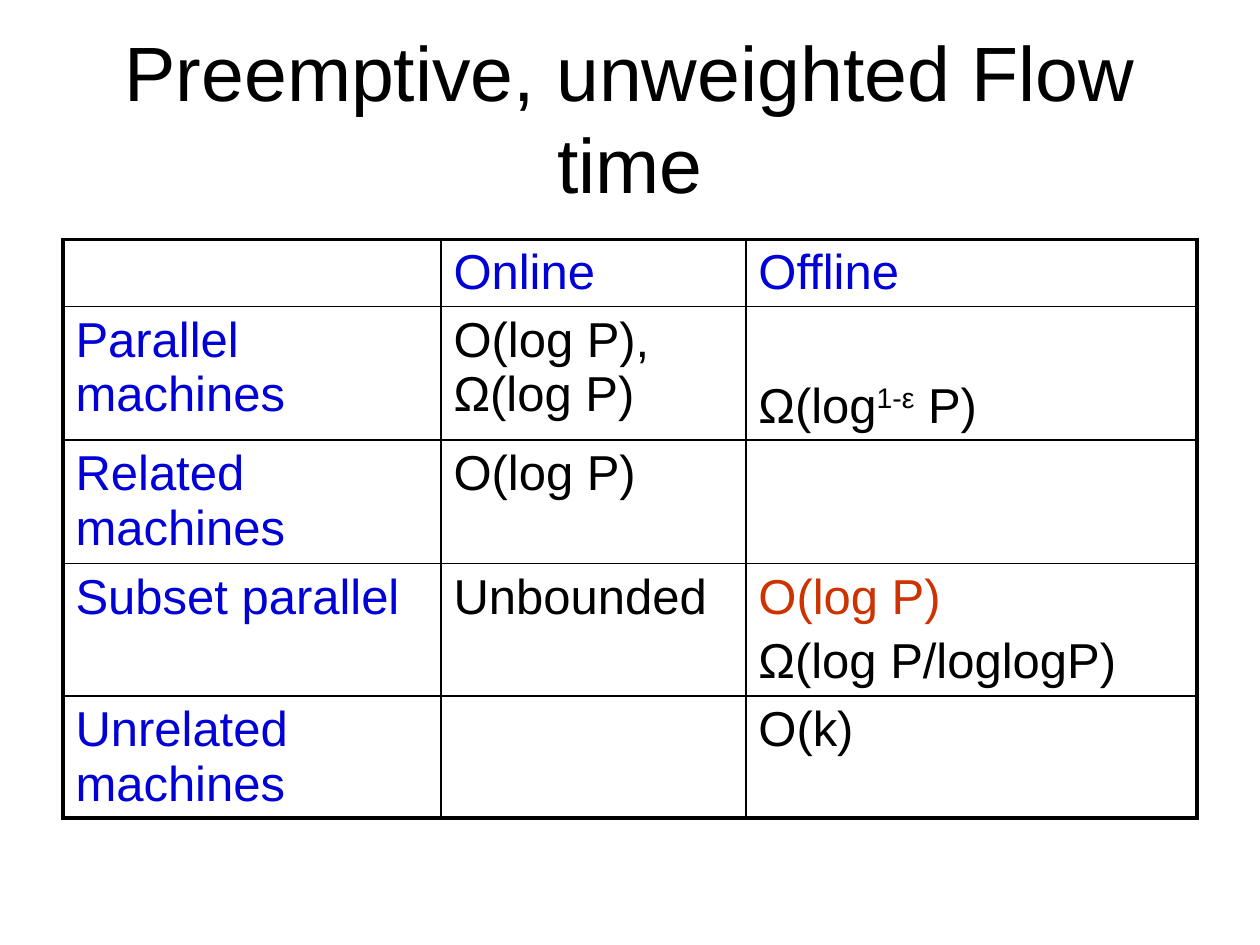
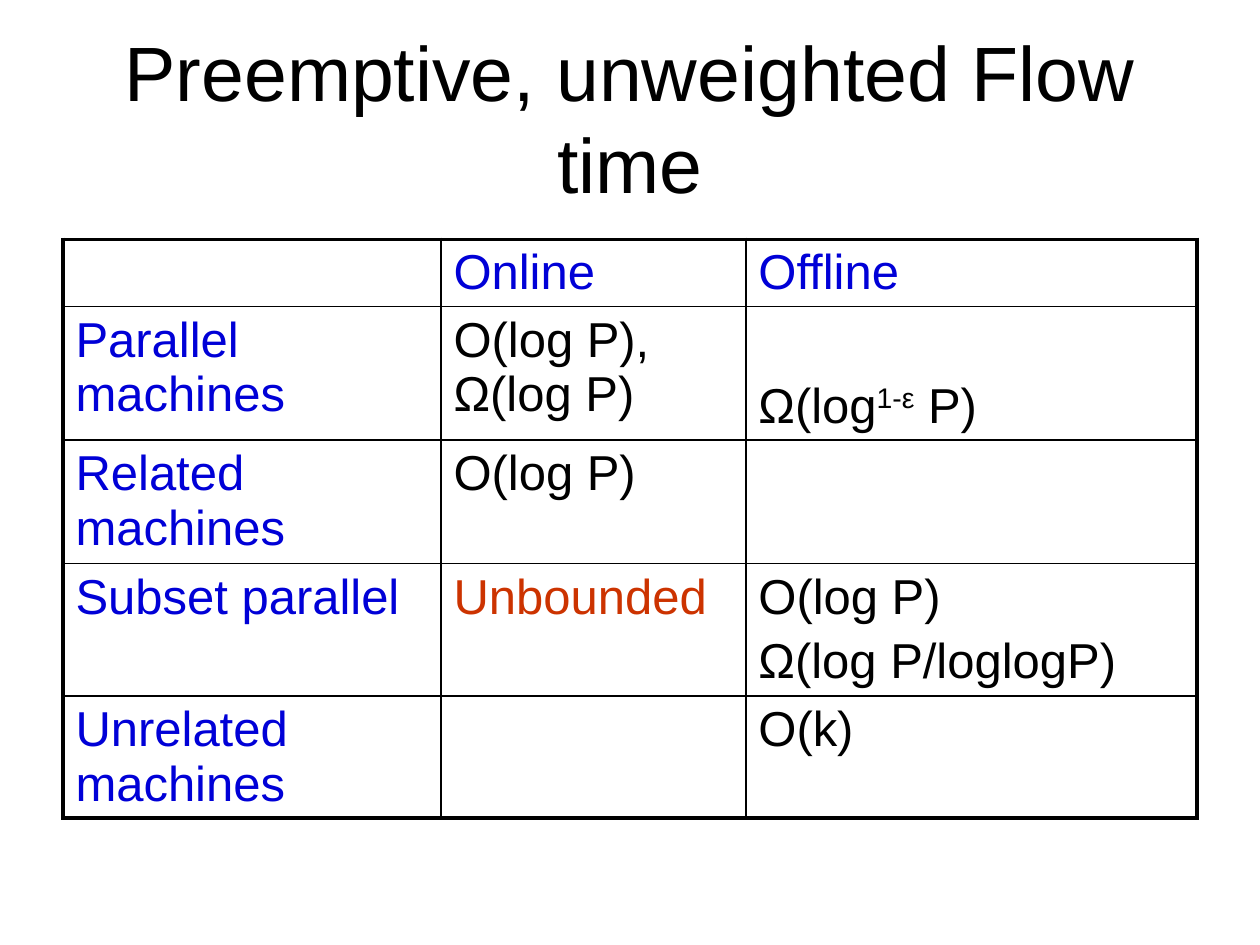
from pptx import Presentation
from pptx.dml.color import RGBColor
from pptx.enum.text import MSO_ANCHOR, MSO_AUTO_SIZE, PP_ALIGN
from pptx.oxml.ns import qn
from pptx.util import Inches, Pt
from lxml.etree import SubElement

TITLE = "Preemptive, unweighted Flow time"
ROWS = [
    ("", "Online", "Offline"),
    ("Parallel machines", "O(log P), Ω(log P)", "Ω(log^1-ε^ P)"),
    ("Related machines", "O(log P)", ""),
    ("Subset parallel", "Unbounded", "O(log P)\nΩ(log P/loglogP)"),
    ("Unrelated machines", "", "O(k)"),
]
HIGHLIGHTS = [(3, 2), (3, 1)]
BOTTOM_CELL = (1, 2)

COL_WIDTHS = [3, 2.42, 3.58]
ROW_HEIGHTS = [0.53, 1.06, 0.98, 1.05, 0.96]
FONT = "Arial"
BLACK, BLUE, RED = "000000", "0000D7", "CC3300"
THIN, THICK = 1, 2.25


def color(value):
    return RGBColor.from_string(value)


def set_font(p, size, value):
    p.font.name = FONT
    p.font.size = Pt(size)
    p.font.color.rgb = color(value)


def add_title(s):
    title = s.shapes.title
    title.left, title.top = Inches(0.5), Inches(0.3)
    title.width, title.height = Inches(9), Inches(1.25)
    tf = title.text_frame
    tf.text = TITLE
    tf.word_wrap = True
    tf.auto_size = MSO_AUTO_SIZE.NONE
    tf.vertical_anchor = MSO_ANCHOR.MIDDLE
    p = tf.paragraphs[0]
    p.alignment = PP_ALIGN.CENTER
    set_font(p, 44, BLACK)


def set_borders(cell, row, col):
    outer = {
        "L": col == 0,
        "R": col == len(COL_WIDTHS) - 1,
        "T": row == 0,
        "B": row == len(ROWS) - 1,
    }
    tcPr = cell._tc.get_or_add_tcPr()
    for side, is_outer in outer.items():
        width = Pt(THICK if is_outer else THIN)
        ln = SubElement(tcPr, qn(f"a:ln{side}"), w=str(int(width)))
        SubElement(SubElement(ln, qn("a:solidFill")), qn("a:srgbClr"), val=BLACK)


def fill_cell(cell, text, row, col, highlight):
    set_borders(cell, row, col)
    cell.fill.background()
    if (row, col) == BOTTOM_CELL:
        cell.vertical_anchor = MSO_ANCHOR.BOTTOM
    tf = cell.text_frame
    for i, line in enumerate(text.split("\n")):
        p = tf.add_paragraph() if i else tf.paragraphs[0]
        if i:
            p.space_before = Pt(5.6)
        value = BLUE if row == 0 or col == 0 else BLACK
        if i == 0 and (row, col) == highlight:
            value = RED
        set_font(p, 28, value)
        for j, part in enumerate(line.split("^")):
            if part:
                r = p.add_run()
                r.text = part
                if j % 2:
                    r._r.get_or_add_rPr().set("baseline", "30000")


def add_results(s, highlight):
    frame = s.shapes.add_table(
        len(ROWS), len(COL_WIDTHS), Inches(0.5), Inches(1.9),
        Inches(sum(COL_WIDTHS)), Inches(sum(ROW_HEIGHTS)))
    table = frame.table
    table.first_row = table.horz_banding = False
    for column, width in zip(table.columns, COL_WIDTHS):
        column.width = Inches(width)
    for row, (height, texts) in enumerate(zip(ROW_HEIGHTS, ROWS)):
        table.rows[row].height = Inches(height)
        for col, text in enumerate(texts):
            fill_cell(table.cell(row, col), text, row, col, highlight)


def main():
    prs = Presentation()
    prs.slide_width, prs.slide_height = Inches(10), Inches(7.5)
    for highlight in HIGHLIGHTS:
        s = prs.slides.add_slide(prs.slide_layouts[5])
        add_title(s)
        add_results(s, highlight)
    prs.save("out.pptx")


if __name__ == "__main__":
    main()
